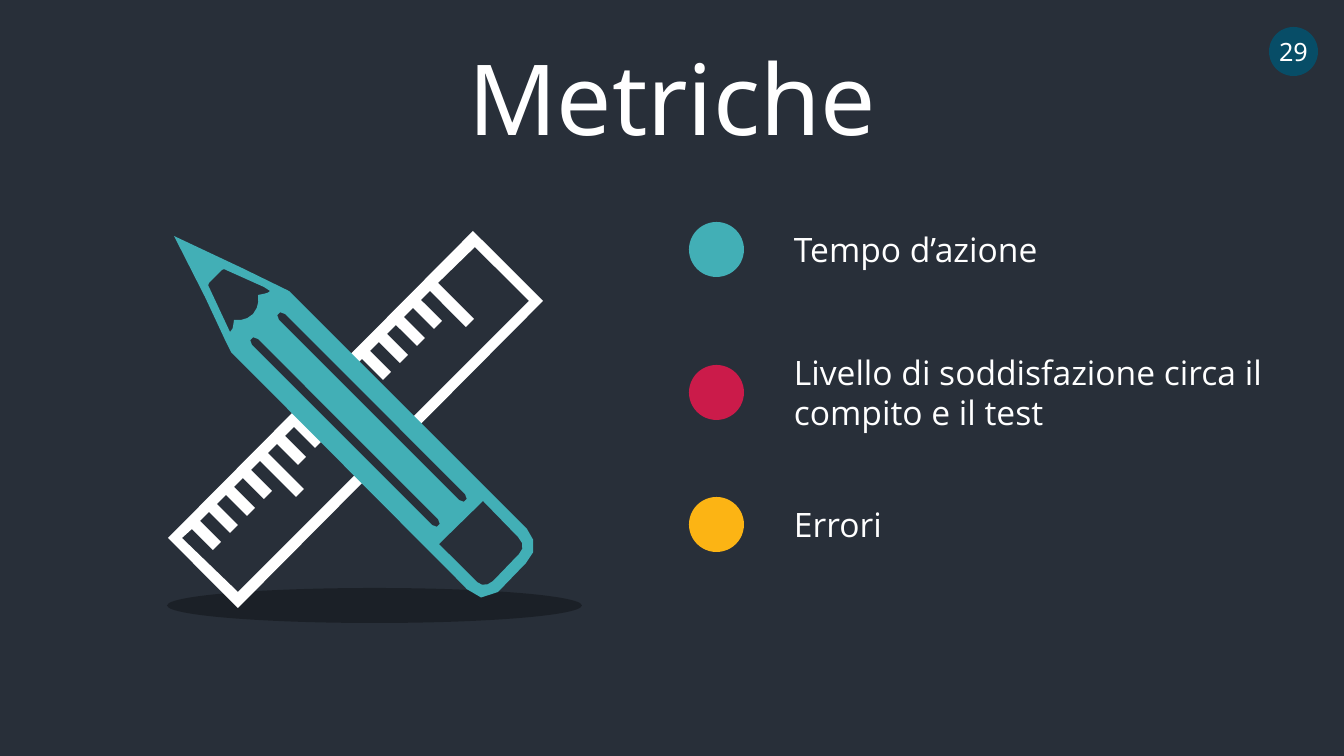
from dataclasses import dataclass

from lxml import etree
from pptx import Presentation
from pptx.dml.color import RGBColor
from pptx.enum import shapes, text
from pptx.oxml.ns import qn
from pptx.util import Emu, Pt

PX = 914400 / 100.8


@dataclass(frozen=True)
class Theme:
    background: str = "282F39"
    white: str = "FFFFFF"
    black: str = "000000"
    teal: str = "42AFB6"
    red: str = "CB1B4A"
    yellow: str = "FCB414"
    badge: str = "074D67"
    title_font: str = "Noto Sans"
    body_font: str = "Open Sans"
    title_size: int = 70
    body_size: int = 24
    badge_size: int = 18


THEME = Theme()
SHAPE = shapes.MSO_SHAPE

# A pair is a corner; six numbers are a cubic curve from the point before.
RULER_EDGE = [(473, 231), (543, 301), (238, 608), (168, 538)]
RULER_INSIDE = [(475, 247), (529, 301), (238, 592), (182, 538)]
PENCIL_EDGE = [
    (174, 236), (205, 297), (226, 342), (231, 352), (456, 578),
    (465, 587, 480, 608, 498, 592), (526, 563),
    (537, 554, 536, 538, 527, 529), (293, 295),
    (291, 293, 290, 291, 287, 290), (242, 268)]
ERASER = [
    (483, 501), (518, 537), (524, 543, 524, 549, 519, 554), (493, 581),
    (488, 586, 481, 586, 477, 582), (439, 544)]
WOOD = [
    (209, 283), (222, 270), (223, 269, 225, 269, 226, 270), (264, 287),
    (270, 291), (268, 293, 268, 293, 258, 295),
    (259, 302, 258, 308, 253, 314), (248, 319, 241, 321, 234, 320),
    (233, 324, 234, 329, 230, 332), (209, 287),
    (208, 286, 208, 285, 209, 283)]


def px(value):
    return Emu(round(value * PX))


def rgb(color):
    return RGBColor.from_string(color)


def paint(sp, color):
    sp.shadow.inherit = False
    sp.fill.solid()
    sp.fill.fore_color.rgb = rgb(color)
    sp.line.fill.background()


def add_preset(parent, kind, box, color):
    sp = parent.shapes.add_shape(kind, *map(px, box))
    paint(sp, color)
    return sp


def flatten(contour, steps=3):
    """Turn corners and cubic curves into EMU points."""
    points = []
    for item in contour:
        if len(item) == 2:
            points.append(item)
            continue
        controls = [points[-1], item[:2], item[2:4], item[4:]]
        for i in range(1, steps + 1):
            t = i / steps
            weights = ((1 - t) ** 3, 3 * t * (1 - t) ** 2,
                       3 * t ** 2 * (1 - t), t ** 3)
            points.append(tuple(sum(w * c[axis] for w, c in zip(weights, controls))
                                for axis in (0, 1)))
    return [(px(x), px(y)) for x, y in points]


def add_outline(parent, contours, color):
    """Draw one filled shape; contours after the first are holes."""
    first, *holes = map(flatten, contours)
    builder = parent.shapes.build_freeform(*first[0])
    builder.add_line_segments(first[1:])
    for hole in holes:
        builder.move_to(*hole[0])
        builder.add_line_segments(hole[1:])
    paint(builder.convert_to_shape(), color)


def tick(index):
    """Corners of one ruler mark; every fifth mark is long."""
    x, y = 196 + 17 * index, 525 - 17 * index
    length = 36 if index % 5 == 4 else 21
    return [(x - 4, y + 4), (x - 4 + length, y + 4 + length),
            (x + 4 + length, y - 4 + length), (x + 4, y - 4)]


def groove(x, y):
    """Slot with round ends, running down the pencil from x, y."""
    end_x, end_y = x + 180, y + 180
    return [(x, y), (end_x, end_y),
            (end_x + 5, end_y + 5, end_x - 1, end_y + 11, end_x - 6, end_y + 6),
            (x - 6, y + 6), (x - 11, y + 1, x - 5, y - 5, x, y)]


def write(tf, content, font, size, align):
    p = tf.paragraphs[0]
    p.text = content
    p.alignment = align
    p.font.name = font
    p.font.size = Pt(size)
    p.font.color.rgb = rgb(THEME.white)


def add_text(slide, content, box, font, size, align=text.PP_ALIGN.LEFT):
    tf = slide.shapes.add_textbox(*map(px, box)).text_frame
    tf.word_wrap = True
    tf.auto_size = text.MSO_AUTO_SIZE.SHAPE_TO_FIT_TEXT
    write(tf, content, font, size, align)


def add_shadow(slide):
    sp = add_preset(slide, SHAPE.OVAL, (167, 588, 415, 35), THEME.black)
    color = sp.fill._xPr.find(qn("a:solidFill"))[0]
    etree.SubElement(color, qn("a:alpha"), val="30000")


def add_ruler(parent):
    ticks = [corner for i in range(15) for corner in tick(i)]
    add_outline(parent, [RULER_EDGE, RULER_INSIDE + ticks + [(439, 282)]],
                THEME.white)


def add_pencil(parent):
    gap = add_preset(parent, SHAPE.RECTANGLE, (209, 411, 349, 69), THEME.background)
    gap.rotation = 45
    add_outline(parent, [PENCIL_EDGE, ERASER, WOOD, groove(285, 314),
                         groove(258, 339)], THEME.teal)


def add_metric(slide, content, color, dot_top, text_box):
    add_preset(slide, SHAPE.OVAL, (689, dot_top, 55, 55), color)
    add_text(slide, content, text_box, THEME.body_font, THEME.body_size)


def add_page_badge(slide, number):
    sp = add_preset(slide, SHAPE.OVAL, (1269, 27, 49, 49), THEME.badge)
    tf = sp.text_frame
    tf.word_wrap = False
    tf.vertical_anchor = text.MSO_ANCHOR.MIDDLE
    write(tf, number, THEME.title_font, THEME.badge_size, text.PP_ALIGN.CENTER)


def main():
    prs = Presentation()
    prs.slide_width, prs.slide_height = px(1344), px(756)
    slide = prs.slides.add_slide(prs.slide_layouts[6])
    slide.background.fill.solid()
    slide.background.fill.fore_color.rgb = rgb(THEME.background)

    add_shadow(slide)
    tools = slide.shapes.add_group_shape()
    add_ruler(tools)
    add_pencil(tools)
    add_text(slide, "Metriche", (0, 33, 1344, 129), THEME.title_font,
             THEME.title_size, text.PP_ALIGN.CENTER)
    add_metric(slide, "Tempo d’azione", THEME.teal, 222, (784, 224, 463, 50))
    add_metric(slide, "Livello di soddisfazione circa il compito e il test",
               THEME.red, 365, (784, 347, 500, 92))
    add_metric(slide, "Errori", THEME.yellow, 497, (784, 499, 463, 50))
    add_page_badge(slide, "29")
    prs.save("out.pptx")


if __name__ == "__main__":
    main()
